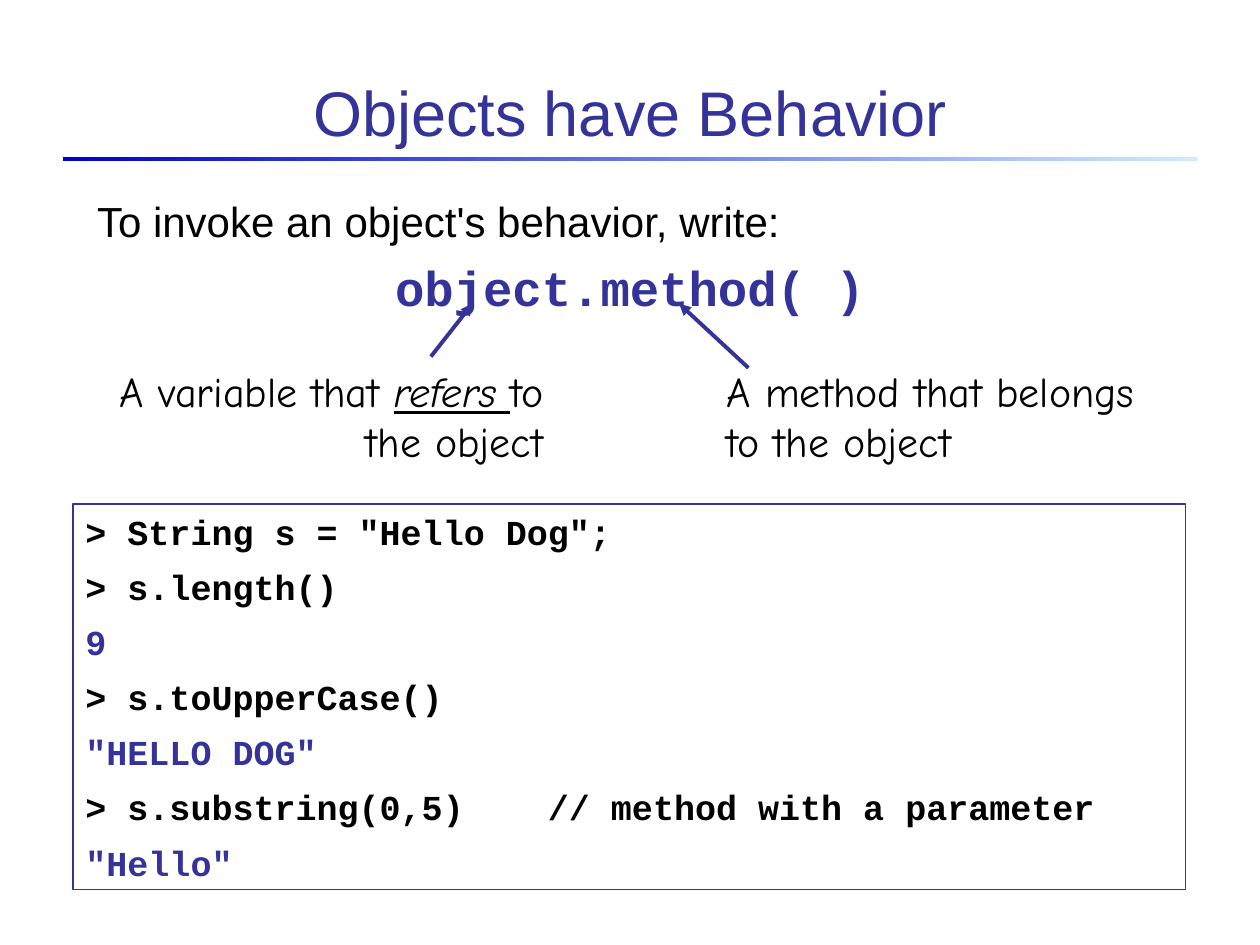
from dataclasses import dataclass

from lxml import etree
from pptx import Presentation
from pptx.dml.color import RGBColor
from pptx.enum import shapes, text
from pptx.oxml import ns
from pptx.util import Inches, Pt


@dataclass(frozen=True)
class Theme:
    ink: str = "000000"
    blue: str = "333399"
    deep: str = "0000CC"
    pale: str = "CCECFF"
    sans: str = "Arial"
    hand: str = "Comic Neue"
    mono: str = "Courier New"
    title: int = 36
    call: int = 28
    body: int = 24
    code: int = 20


LOOK = Theme()
ALIGN = text.PP_ALIGN


def rgb(code):
    return RGBColor.from_string(code)


def write(para, words, size, face, color=LOOK.ink, bold=False, italic=False, under=False):
    run = para.add_run()
    run.text = words
    font = run.font
    font.size, font.name = Pt(size), face
    font.bold, font.italic, font.underline = bold, italic, under
    font.color.rgb = rgb(color)


class Deck:
    def __init__(self, look):
        self.look = look
        self.file = Presentation()
        self.file.slide_width, self.file.slide_height = Inches(10), Inches(7.5)
        self.slide = self.file.slides.add_slide(self.file.slide_layouts[1])

    def frame(self, shape, anchor=text.MSO_ANCHOR.TOP):
        frame = shape.text_frame
        frame.word_wrap = True
        frame.auto_size = text.MSO_AUTO_SIZE.NONE
        frame.vertical_anchor = anchor
        return frame

    def para(self, frame, first, align=ALIGN.LEFT, gap=0):
        para = frame.paragraphs[0] if first else frame.add_paragraph()
        para.alignment = align
        para.line_spacing = 1.0
        para.space_before = Pt(0 if first else gap)
        return para

    def place(self, shape, box):
        shape.left, shape.top, shape.width, shape.height = map(Inches, box)

    def title(self, words, box):
        shape = self.slide.shapes.title
        self.place(shape, box)
        frame = self.frame(shape, text.MSO_ANCHOR.BOTTOM)
        para = self.para(frame, True, ALIGN.CENTER)
        write(para, words, self.look.title, self.look.sans, self.look.blue)

    def body(self, lines, box):
        shape = self.slide.placeholders[1]
        self.place(shape, box)
        frame = self.frame(shape)
        for row, (words, align, style) in enumerate(lines):
            para = self.para(frame, row == 0, align, 7)
            props = para._p.get_or_add_pPr()
            props.set("marL", str(Inches(0.25)))
            props.set("indent", str(Inches(-0.25)))
            etree.SubElement(props, ns.qn("a:buNone"))
            write(para, words, **style)

    def rule(self, box):
        shape = self.slide.shapes.add_shape(
            shapes.MSO_SHAPE.RECTANGLE, *map(Inches, box))
        shape.shadow.inherit = False
        shape.line.fill.background()
        shape.fill.gradient()
        shape.fill.gradient_angle = 0
        for stop, color in zip(shape.fill.gradient_stops, (self.look.deep, self.look.pale)):
            stop.color.rgb = rgb(color)

    def code(self, lines, box):
        shape = self.slide.shapes.add_shape(
            shapes.MSO_SHAPE.RECTANGLE, *map(Inches, box))
        shape.shadow.inherit = False
        shape.fill.background()
        shape.line.color.rgb = rgb(self.look.blue)
        shape.line.width = Pt(0.75)
        frame = self.frame(shape)
        for row, words in enumerate(lines):
            color = self.look.ink if words.startswith(">") else self.look.blue
            para = self.para(frame, row == 0, gap=7.5)
            write(para, words, self.look.code, self.look.mono, color, bold=True)

    def note(self, parts, box, align=ALIGN.LEFT):
        shape = self.slide.shapes.add_textbox(*map(Inches, box))
        para = self.para(self.frame(shape), True, align)
        for words, style in parts:
            write(para, words, self.look.body, self.look.hand, **style)

    def arrow(self, start, end):
        line = self.slide.shapes.add_connector(
            shapes.MSO_CONNECTOR.STRAIGHT, *map(Inches, start + end))
        line.line.color.rgb = rgb(self.look.blue)
        line.line.width = Pt(2.25)
        edge = line.line._get_or_add_ln()
        etree.SubElement(edge, ns.qn("a:tailEnd"), type="triangle")
        etree.SubElement(line._element.spPr, ns.qn("a:effectLst"))


def main():
    deck = Deck(LOOK)
    deck.rule((0.5, 1.25, 9, 0.03))
    deck.title("Objects have Behavior", (0.67, 0.28, 8.66, 0.95))
    deck.body([
        ("To invoke an object's behavior, write:", ALIGN.LEFT,
         dict(size=LOOK.body, face=LOOK.sans)),
        ("object.method( )", ALIGN.CENTER,
         dict(size=LOOK.call, face=LOOK.mono, color=LOOK.blue, bold=True)),
    ], (0.67, 1.5, 8.66, 2.22))
    deck.code([
        '> String s = "Hello Dog";',
        "> s.length()",
        "9",
        "> s.toUpperCase()",
        '"HELLO DOG"',
        "> s.substring(0,5)    // method with a parameter",
        '"Hello"',
    ], (0.58, 4, 8.83, 3.06))
    deck.note([
        ("A variable that ", {}),
        ("refers", dict(italic=True, under=True)),
        (" ", dict(under=True)),
        ("to the object", {}),
    ], (0.83, 2.85, 3.58, 0.9), ALIGN.RIGHT)
    deck.note([("A method that belongs to the object", {})], (5.67, 2.85, 3.58, 0.9))
    deck.arrow((3.42, 2.83), (3.75, 2.41))
    deck.arrow((5.94, 2.92), (5.39, 2.41))
    deck.file.save("out.pptx")


if __name__ == "__main__":
    main()
